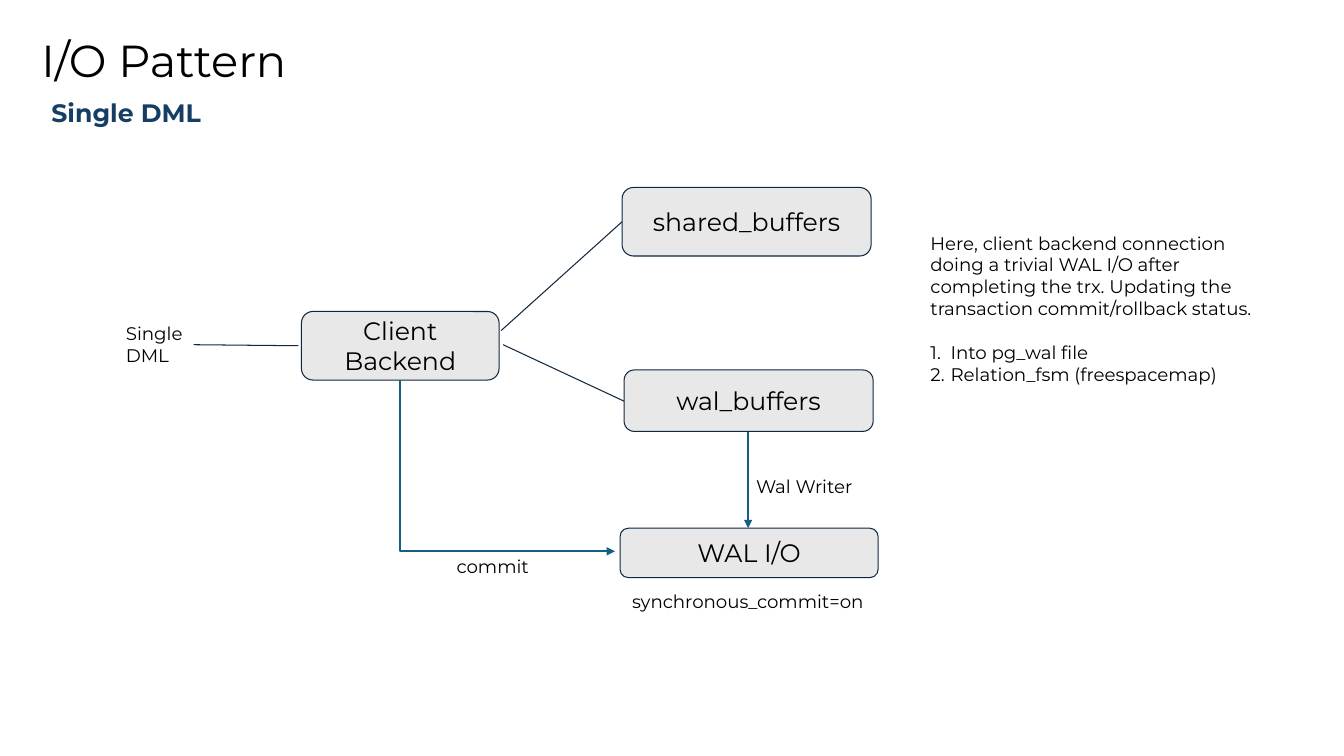
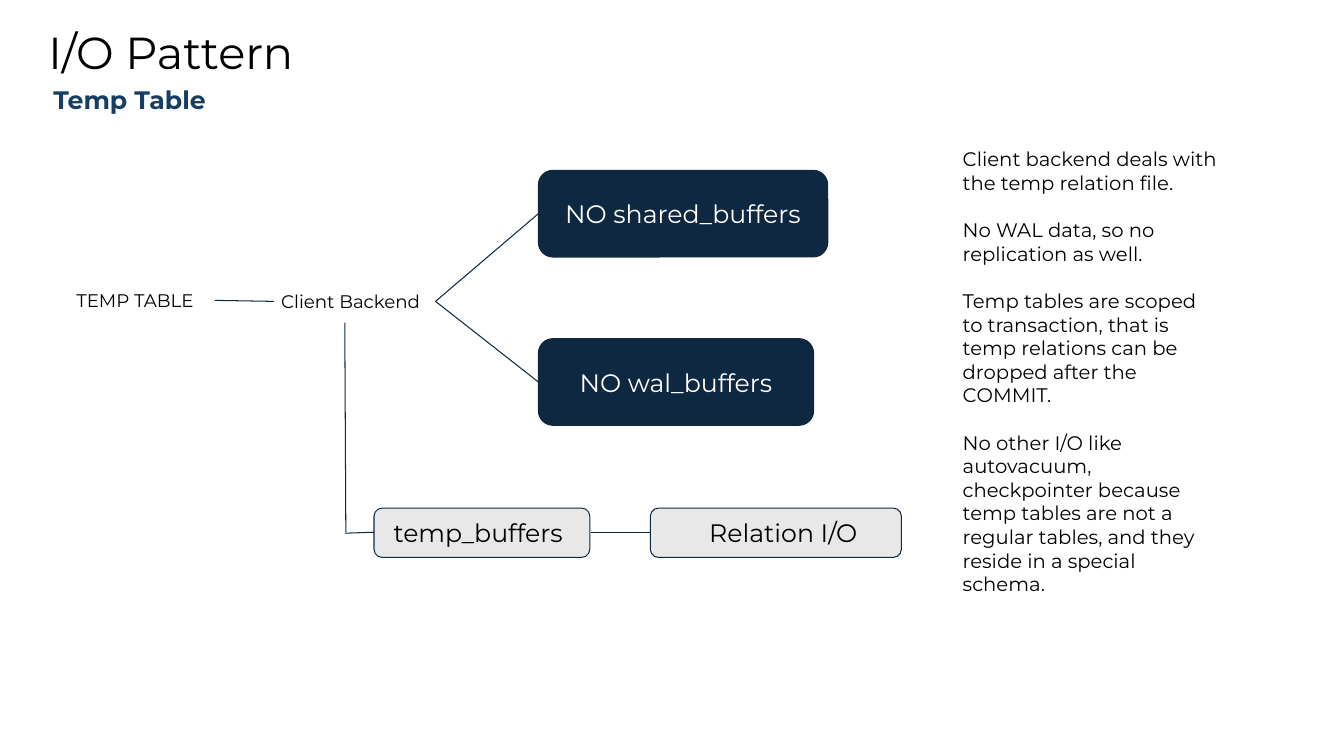
import pptx
import pptx.util
import pptx.dml.color
import pptx.enum.shapes
import pptx.enum.text
import pptx.oxml.ns
import lxml.etree

Inches = pptx.util.Inches
Pt = pptx.util.Pt
SHAPE = pptx.enum.shapes.MSO_SHAPE
LINK = pptx.enum.shapes.MSO_CONNECTOR
ALIGN = pptx.enum.text.PP_ALIGN
ANCHOR = pptx.enum.text.MSO_ANCHOR

FONT = "Montserrat"
COLORS = {
    "black": "000000",
    "white": "FFFFFF",
    "gray": "E8E8E8",
    "navy": "0E2841",
    "teal": "156082",
    "blue": "163E64",
}
INSET = 0.1
ROUND = SHAPE.ROUNDED_RECTANGLE
FLOW = SHAPE.FLOWCHART_ALTERNATE_PROCESS

SLIDES = [
    {
        "title": ("I/O Pattern", (0.31, 0.28, 4.19, 0.72)),
        "head": ("Single DML", (0.51, 1, 3.19, 0.27)),
        "boxes": [
            ("shared_buffers", (6.17, 1.86, 2.47, 0.68), ROUND, "gray", None),
            ("wal_buffers", (6.19, 3.67, 2.47, 0.61), ROUND, "gray", None),
            ("Client Backend", (2.99, 3.09, 1.96, 0.68), ROUND, "gray", None),
            ("WAL I/O", (6.15, 5.24, 2.56, 0.49), FLOW, "gray", None),
        ],
        "labels": [
            ("Single DML", (1.15, 3.1, 1.17, 0.64)),
            ("synchronous_commit=on", (6.17, 5.76, 2.69, 0.42)),
            ("commit", (4.43, 5.41, 1.3, 0.42)),
            ("Wal Writer", (7.4, 4.62, 1.45, 0.42)),
        ],
        "note": (13, (9.13, 2.2, 3.51, 1.73), [
            ("Here, client backend connection doing a trivial WAL I/O after "
             "completing the trx. Updating the transaction commit/rollback status.", False),
            ("Into pg_wal file", True),
            ("Relation_fsm (freespacemap)", True),
        ]),
        "lines": [
            ((4.97, 3.28), (6.17, 2.2)),
            ((4.99, 3.42), (6.19, 3.98)),
            ((1.92, 3.42), (2.96, 3.43)),
        ],
        "arrows": [((7.42, 4.29), (7.42, 5.24))],
        "bends": [((3.97, 3.77), (6.1, 5.47))],
    },
    {
        "title": ("I/O Pattern", (0.38, 0.21, 4.19, 0.72)),
        "head": ("Temp Table", (0.53, 0.87, 3.19, 0.27)),
        "boxes": [
            ("NO shared_buffers", (5.34, 1.69, 2.87, 0.86), ROUND, "navy", None),
            ("NO wal_buffers", (5.34, 3.36, 2.73, 0.86), ROUND, "navy", None),
            ("temp_buffers", (3.71, 5.04, 2.14, 0.49), FLOW, "gray", 0.17),
            ("Relation I/O", (6.45, 5.04, 2.49, 0.49), FLOW, "gray", 0.56),
        ],
        "labels": [
            ("TEMP TABLE", (0.66, 2.77, 1.46, 0.42)),
            ("Client Backend", (2.69, 2.78, 1.63, 0.42)),
        ],
        "note": (14, (9.45, 1.36, 2.73, 4.68), [
            ("Client backend deals with the temp relation file.", False),
            ("No WAL data, so no replication as well.", False),
            ("Temp tables are scoped to transaction, that is temp relations "
             "can be dropped after the COMMIT.", False),
            ("No other I/O like autovacuum, checkpointer because temp tables are "
             "not a regular tables, and they reside in a special schema.", False),
        ]),
        "lines": [
            ((4.32, 2.99), (5.34, 2.12)),
            ((4.32, 2.99), (5.34, 3.79)),
            ((2.13, 2.98), (2.72, 2.99)),
            ((3.42, 3.2), (3.43, 5.28)),
            ((3.42, 5.29), (3.71, 5.28)),
            ((5.86, 5.28), (6.45, 5.28)),
        ],
        "arrows": [],
        "bends": [],
    },
]


def color(name):
    return pptx.dml.color.RGBColor.from_string(COLORS[name])


def child(parent, tag, **attrs):
    return lxml.etree.SubElement(parent, pptx.oxml.ns.qn(tag), **attrs)


def set_frame(shape, inset=INSET, anchor=ANCHOR.TOP):
    frame = shape.text_frame
    frame.word_wrap = True
    frame.auto_size = pptx.enum.text.MSO_AUTO_SIZE.NONE
    frame.vertical_anchor = anchor
    frame.margin_left = frame.margin_right = Inches(inset)
    frame.margin_top = frame.margin_bottom = Inches(inset)
    return frame


def write(para, text, size, ink="black", bold=False, align=ALIGN.LEFT):
    para.alignment = align
    run = para.add_run()
    run.text = text
    run.font.name = FONT
    run.font.size = Pt(size)
    run.font.bold = bold
    run.font.color.rgb = color(ink)


def add_text(slide, text, place, size=13, ink="black", bold=False, inset=INSET):
    box = slide.shapes.add_textbox(*map(Inches, place))
    para = set_frame(box, inset).paragraphs[0]
    write(para, text, size, ink, bold)
    return para


def add_title(slide, text, place):
    title = slide.shapes.title
    title.left, title.top, title.width, title.height = map(Inches, place)
    para = set_frame(title).paragraphs[0]
    para.line_spacing = 0.9
    write(para, text, 32)


def add_box(slide, text, place, kind, fill, indent):
    box = slide.shapes.add_shape(kind, *map(Inches, place))
    box.shadow.inherit = False
    box.fill.solid()
    box.fill.fore_color.rgb = color(fill)
    box.line.color.rgb = color("navy")
    box.line.width = Pt(0.75)
    frame = set_frame(box, anchor=ANCHOR.MIDDLE)
    align = ALIGN.CENTER
    if indent:
        frame.margin_left = Inches(indent)
        align = ALIGN.LEFT
    ink = "white" if fill == "navy" else "black"
    write(frame.paragraphs[0], text, 18, ink, align=align)


def add_note(slide, size, place, items):
    box = slide.shapes.add_textbox(*map(Inches, place))
    frame = set_frame(box)
    was_step = False
    for index, (text, step) in enumerate(items):
        para = frame.add_paragraph() if index else frame.paragraphs[0]
        if step:
            props = para._p.get_or_add_pPr()
            props.set("marL", str(Inches(0.2)))
            props.set("indent", str(-Inches(0.2)))
            child(props, "a:buAutoNum", type="arabicPeriod")
        if index and not (step and was_step):
            para.space_before = Pt(round(size * 1.22, 1))
        write(para, text, size)
        was_step = step


def add_line(slide, start, end, ink="navy", width=0.75, arrow=False):
    line = slide.shapes.add_connector(LINK.STRAIGHT, *map(Inches, start + end))
    line.line.color.rgb = color(ink)
    line.line.width = Pt(width)
    if arrow:
        child(line.line._get_or_add_ln(), "a:tailEnd", type="triangle")
    child(line._element.spPr, "a:effectLst")
    return line


def add_bend(slide, start, end):
    mid_x, mid_y = (start[0] + end[0]) / 2, (start[1] + end[1]) / 2
    half_w, half_h = (end[1] - start[1]) / 2, (end[0] - start[0]) / 2
    line = add_line(slide, (mid_x + half_w, mid_y - half_h),
                    (mid_x - half_w, mid_y + half_h), "teal", 1.5, True)
    props = line._element.spPr
    props.find(pptx.oxml.ns.qn("a:xfrm")).set("rot", str(270 * 60000))
    props.find(pptx.oxml.ns.qn("a:prstGeom")).set("prst", "bentConnector2")


def build(deck, data):
    slide = deck.slides.add_slide(deck.slide_layouts[5])
    add_title(slide, *data["title"])
    head = add_text(slide, *data["head"], size=18, ink="blue", bold=True, inset=0)
    head.line_spacing = 0.9
    for box in data["boxes"]:
        add_box(slide, *box)
    for start, end in data["lines"]:
        add_line(slide, start, end)
    for start, end in data["arrows"]:
        add_line(slide, start, end, "teal", 1.5, True)
    for start, end in data["bends"]:
        add_bend(slide, start, end)
    for label in data["labels"]:
        add_text(slide, *label)
    add_note(slide, *data["note"])


def main():
    deck = pptx.Presentation()
    deck.slide_width, deck.slide_height = Inches(13.33), Inches(7.5)
    for data in SLIDES:
        build(deck, data)
    deck.save("out.pptx")


if __name__ == "__main__":
    main()
